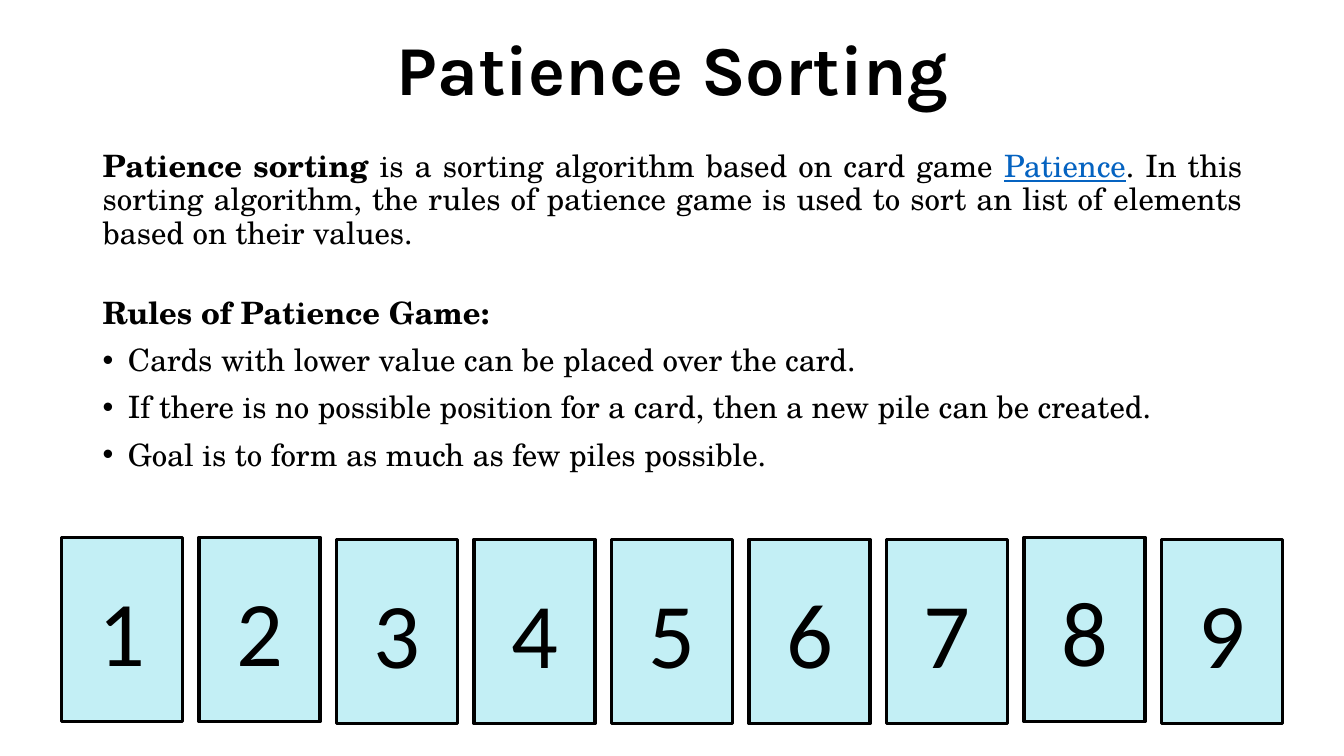
from dataclasses import dataclass

from lxml import etree
from pptx import Presentation
from pptx import util as u
from pptx.dml.color import RGBColor
from pptx.enum import shapes, text
from pptx.oxml import ns

BLACK = RGBColor(0, 0, 0)
CYAN = RGBColor(0xC3, 0xEF, 0xF5)
BLUE = RGBColor(0x05, 0x63, 0xC1)

FIRST, LAST = 0.61, 11.52
HIGH, LOW = 5.33, 5.35
RAISED = {1, 2, 8}
COUNT = 9


@dataclass
class Run:
    words: str
    bold: bool = False
    link: bool = False


@dataclass
class Para:
    runs: list[Run]
    align: text.PP_ALIGN = text.PP_ALIGN.LEFT
    before: float = 10
    bullet: bool = False


@dataclass
class Card:
    value: int
    left: float
    top: float


BODY = [
    Para([
        Run("Patience sorting", bold=True),
        Run(" is a sorting algorithm based on card game "),
        Run("Patience", link=True),
        Run(". In this sorting algorithm, the rules of patience game is used "
            "to sort an list of elements based on their values."),
    ], align=text.PP_ALIGN.JUSTIFY),
    Para([Run("Rules of Patience Game:", bold=True)], before=33.5),
    *(Para([Run(rule)], bullet=True) for rule in (
        "Cards with lower value can be placed over the card.",
        "If there is no possible position for a card, then a new pile can be created.",
        "Goal is to form as much as few piles possible.",
    )),
]

STEP = (LAST - FIRST) / (COUNT - 1)
CARDS = [Card(n, FIRST + (n - 1) * STEP, HIGH if n in RAISED else LOW)
         for n in range(1, COUNT + 1)]


def style(para, face: str, size: float) -> None:
    para.font.name = face
    para.font.size = u.Pt(size)
    para.font.color.rgb = BLACK


def add_card(slide, card: Card) -> None:
    box = slide.shapes.add_shape(
        shapes.MSO_SHAPE.ROUNDED_RECTANGLE, u.Inches(card.left),
        u.Inches(card.top), u.Inches(1.2), u.Inches(1.83))
    box.adjustments[0] = 0
    box.shadow.inherit = False
    box.fill.solid()
    box.fill.fore_color.rgb = CYAN
    box.line.color.rgb = BLACK
    box.line.width = u.Pt(2.25)
    frame = box.text_frame
    frame.vertical_anchor = text.MSO_ANCHOR.MIDDLE
    para = frame.paragraphs[0]
    para.text = str(card.value)
    para.alignment = text.PP_ALIGN.CENTER
    style(para, "Calibri", 66)


def add_frame(slide, top: float, height: float):
    box = slide.shapes.add_textbox(
        u.Inches(0.92), u.Inches(top), u.Inches(11.5), u.Inches(height))
    box.text_frame.word_wrap = True
    return box.text_frame


def add_title(slide, words: str) -> None:
    frame = add_frame(slide, 0, 1.45)
    frame.vertical_anchor = text.MSO_ANCHOR.MIDDLE
    para = frame.paragraphs[0]
    para.text = words
    para.alignment = text.PP_ALIGN.CENTER
    para.line_spacing = 0.9
    style(para, "Karla", 50)
    para.font.bold = True


def add_bullet(para) -> None:
    props = para._p.get_or_add_pPr()
    props.set("marL", str(u.Inches(0.25)))
    props.set("indent", str(-u.Inches(0.25)))
    face = etree.SubElement(props, ns.qn("a:buFont"))
    face.set("typeface", "Arial")
    mark = etree.SubElement(props, ns.qn("a:buChar"))
    mark.set("char", "•")


def fill_para(para, item: Para) -> None:
    para.alignment = item.align
    para.line_spacing = 0.9
    para.space_before = u.Pt(item.before)
    if item.bullet:
        add_bullet(para)
    style(para, "TeX Gyre Schola", 22)
    for part in item.runs:
        run = para.add_run()
        run.text = part.words
        run.font.bold = part.bold
        if part.link:
            run.font.color.rgb = BLUE
            run.font.underline = True


def add_body(slide, items: list[Para]) -> None:
    frame = add_frame(slide, 1.45, 4.76)
    for i, item in enumerate(items):
        fill_para(frame.add_paragraph() if i else frame.paragraphs[0], item)


def main() -> None:
    deck = Presentation()
    deck.slide_width = u.Inches(13.33)
    deck.slide_height = u.Inches(7.5)
    slide = deck.slides.add_slide(deck.slide_layouts[6])
    for card in CARDS:
        add_card(slide, card)
    add_title(slide, "Patience Sorting")
    add_body(slide, BODY)
    deck.save("out.pptx")


if __name__ == "__main__":
    main()
